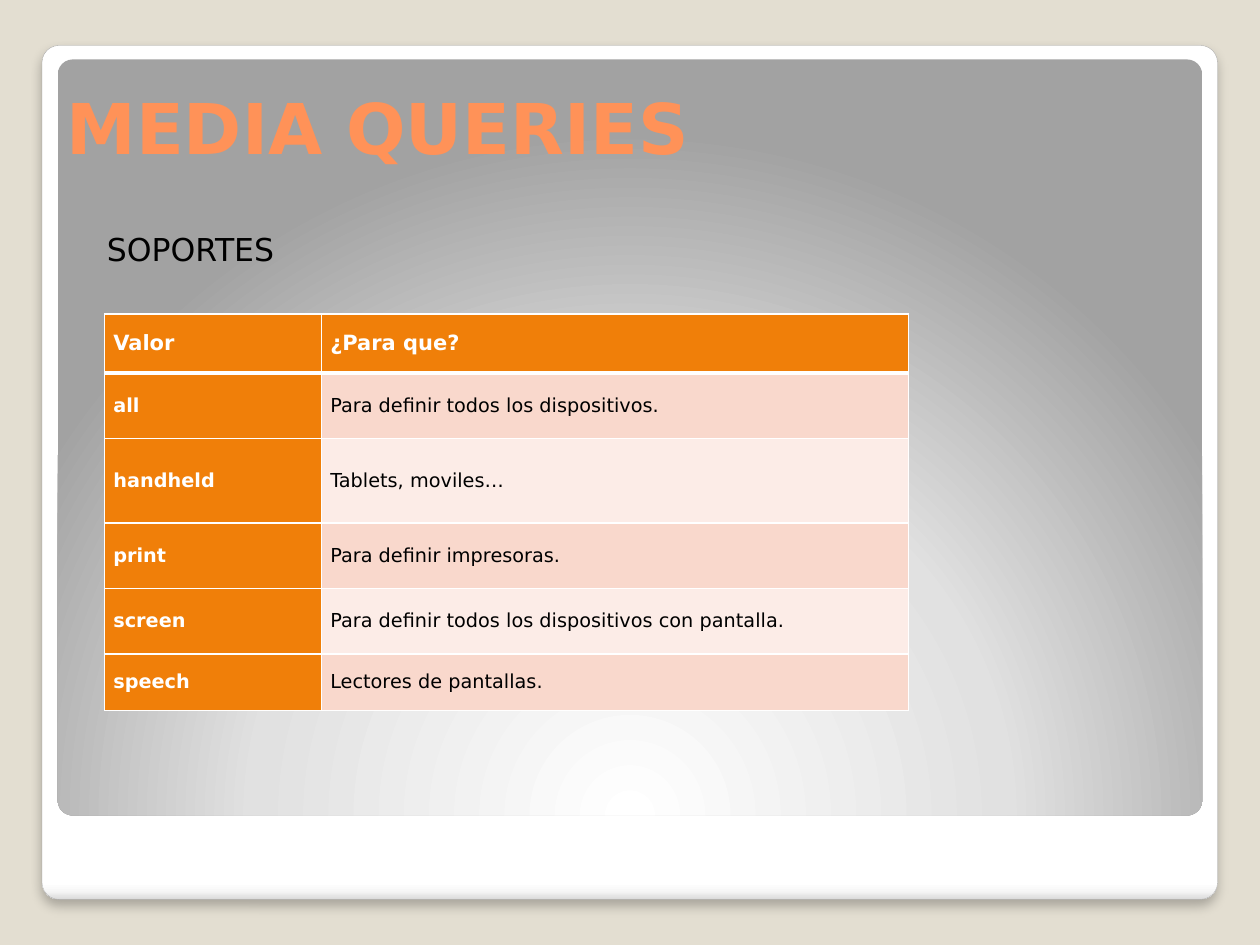
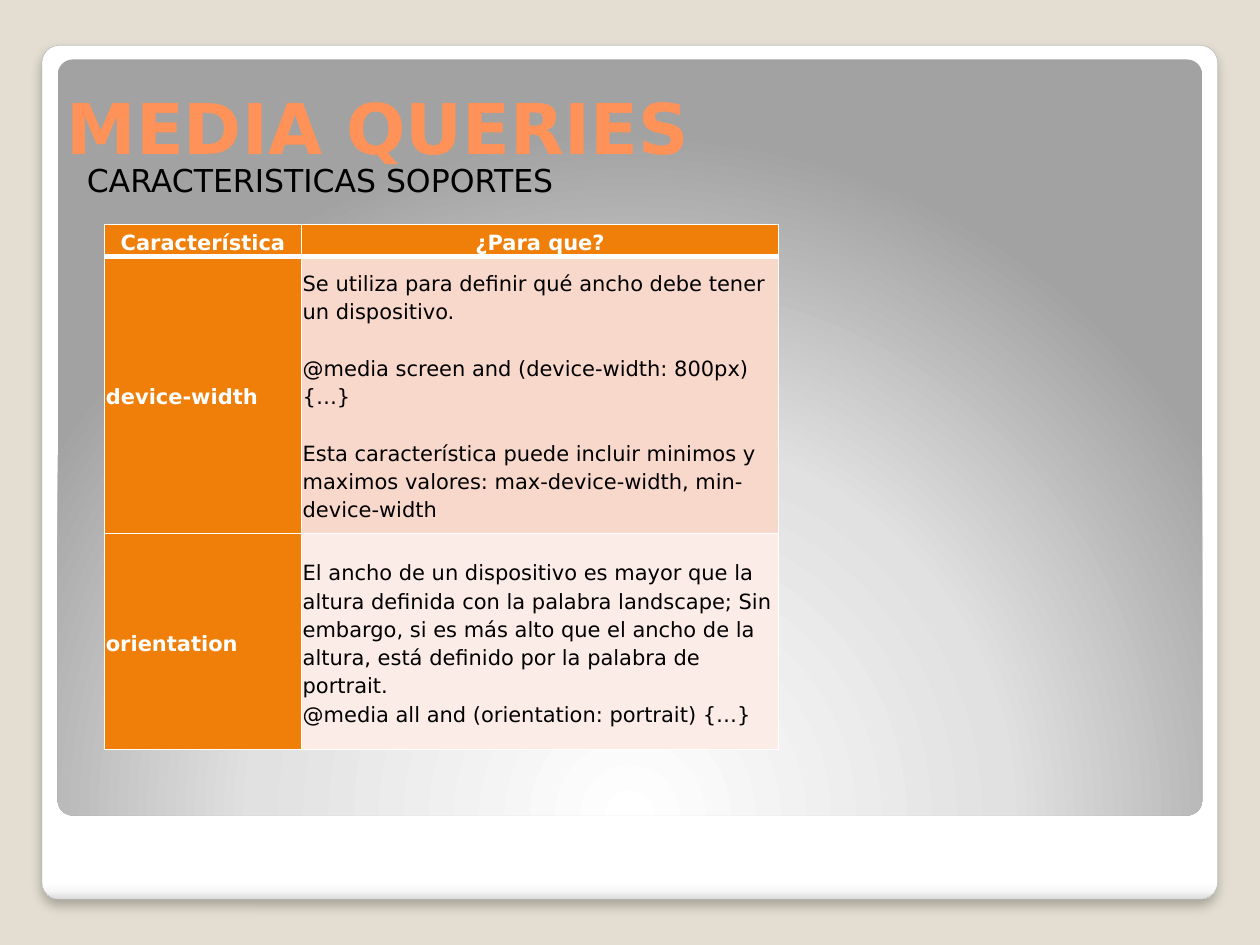
from lxml import etree
from pptx import Presentation
from pptx.dml.color import RGBColor
from pptx.enum.shapes import MSO_SHAPE
from pptx.enum.text import MSO_ANCHOR, PP_ALIGN
from pptx.oxml.ns import qn
from pptx.util import Pt

ROUNDED = MSO_SHAPE.ROUNDED_RECTANGLE
MIDDLE, TOP, BOTTOM = MSO_ANCHOR.MIDDLE, MSO_ANCHOR.TOP, MSO_ANCHOR.BOTTOM
LEFT, CENTER, JUSTIFY = PP_ALIGN.LEFT, PP_ALIGN.CENTER, PP_ALIGN.JUSTIFY

FONT = "DejaVu Sans"
SAND = RGBColor(0xE3, 0xDE, 0xD1)
WHITE = RGBColor(0xFF, 0xFF, 0xFF)
BLACK = RGBColor(0x00, 0x00, 0x00)
CORAL = RGBColor(0xFF, 0x92, 0x58)
ORANGE = RGBColor(0xF0, 0x7F, 0x09)
PINK = RGBColor(0xF9, 0xD8, 0xCC)
PALE_PINK = RGBColor(0xFC, 0xEC, 0xE7)
EDGE_GREY = RGBColor(0xA4, 0xA4, 0xA4)
OFF_WHITE = RGBColor(0xF7, 0xF7, 0xF7)
RIM_GREY = RGBColor(0xDA, 0xDA, 0xDA)
LIGHT_GREY = RGBColor(0xE1, 0xE1, 0xE1)
DARK_GREY = RGBColor(0xA2, 0xA2, 0xA2)

# Shared panels: left, top, width, height, gradient stops, gradient direction
CARD_STOPS = [(0, WHITE), (98, WHITE), (99, OFF_WHITE), (100, RIM_GREY)]
GLOW_STOPS = [(0, WHITE), (55, LIGHT_GREY), (100, DARK_GREY)]
DOWNWARD = '<a:lin ang="5400000" scaled="0"/>'
FROM_BELOW = ('<a:path path="circle"><a:fillToRect l="50000" t="175000" '
              'r="50000" b="-75000"/></a:path>')
PANELS = [
    (24, 26, 671.75, 488, CARD_STOPS, DOWNWARD),
    (33, 34, 654, 432, GLOW_STOPS, FROM_BELOW),
]
DRAWING = 'xmlns:a="http://schemas.openxmlformats.org/drawingml/2006/main"'
CARD_SHADOW = (f'<a:outerShdw {DRAWING} blurRad="{Pt(6)}" dist="{Pt(4)}" dir="5400000">'
               '<a:srgbClr val="000000"><a:alpha val="25000"/></a:srgbClr></a:outerShdw>')

# What differs from slide to slide
PAGES = [
    {
        "subtitle": "SOPORTES", "subtitle_at": (54, 128),
        "table_at": (59.75, 179.5),
        "columns": [124, 335.5], "rows": [33.75, 37.25, 48.5, 37.25, 37.5, 32.25],
        "margins": (5, 0, 5, 0), "header_align": JUSTIFY, "body_size": 11, "spacing": 1,
        "cells": [
            ("Valor", ["¿Para que?"]),
            ("all", ["Para definir todos los dispositivos."]),
            ("handheld", ["Tablets, moviles…"]),
            ("print", ["Para definir impresoras."]),
            ("screen", ["Para definir todos los dispositivos con pantalla."]),
            ("speech", ["Lectores de pantallas."]),
        ],
        "gap": 0,
    },
    {
        "subtitle": "CARACTERISTICAS SOPORTES", "subtitle_at": (42.5, 88.5),
        "table_at": (59.75, 128.25),
        "columns": [112.5, 272.75], "rows": [18.25, 158.5, 123.5],
        "margins": (0.75, 0.75, 0.75, 0), "header_align": CENTER, "body_size": 12,
        "spacing": 1.15,
        "cells": [
            ("Característica", ["¿Para que?"]),
            ("device-width", [
                "Se utiliza para definir qué ancho debe tener un dispositivo.",
                "@media screen and (device-width: 800px) {…}",
                "Esta característica puede incluir minimos y maximos valores: "
                "max-device-width, min-device-width",
            ]),
            ("orientation", [
                "El ancho de un dispositivo es mayor que la altura definida con la palabra "
                "landscape; Sin embargo, si es más alto que el ancho de la altura, está "
                "definido por la palabra de portrait.",
                "@media all and (orientation: portrait) {…}",
            ]),
        ],
        "gap": 16.2,
    },
]


def write(frame, texts, size, color, bold=False, align=LEFT, spacing=1, gap=0):
    """Fill a text frame with one paragraph per text, with a gap between them."""
    frame.word_wrap = True
    for index, text in enumerate(texts):
        para = frame.paragraphs[0] if index == 0 else frame.add_paragraph()
        para.alignment = align
        para.line_spacing = spacing
        if index < len(texts) - 1:
            para.space_after = Pt(gap)
        span = para.add_run()
        span.text = text
        span.font.name = FONT
        span.font.size = Pt(size)
        span.font.bold = bold
        span.font.color.rgb = color


def add_text_box(page, left, top, width, height, anchor, text, size, color, bold=False):
    box = page.shapes.add_textbox(Pt(left), Pt(top), Pt(width), Pt(height))
    box.text_frame.vertical_anchor = anchor
    write(box.text_frame, [text], size, color, bold)


deck = Presentation()
deck.slide_width, deck.slide_height = Pt(720), Pt(540)

for content in PAGES:
    page = deck.slides.add_slide(deck.slide_layouts[6])
    page.background.fill.solid()
    page.background.fill.fore_color.rgb = SAND

    # White card with the glowing grey panel on it
    for left, top, width, height, stops, direction in PANELS:
        panel = page.shapes.add_shape(ROUNDED, Pt(left), Pt(top), Pt(width), Pt(height))
        panel.adjustments[0] = 0.02
        panel.shadow.inherit = False
        stop_list = "".join(f'<a:gs pos="{place * 1000}"><a:srgbClr val="{color}"/></a:gs>'
                            for place, color in stops)
        panel.fill.gradient()
        properties = panel.element.spPr
        properties.replace(properties.find(qn("a:gradFill")), etree.fromstring(
            f'<a:gradFill {DRAWING} rotWithShape="1"><a:gsLst>{stop_list}</a:gsLst>'
            f'{direction}</a:gradFill>'))
        if stops is CARD_STOPS:
            panel.line.color.rgb = EDGE_GREY
            panel.line.width = Pt(0.16)
            properties.find(qn("a:effectLst")).append(etree.fromstring(CARD_SHADOW))
        else:
            panel.line.fill.background()

    # Title and subtitle
    add_text_box(page, 31, 3.5, 641, 96.5, BOTTOM, "MEDIA QUERIES", 40, CORAL, True)
    add_text_box(page, *content["subtitle_at"], 544, 225, TOP, content["subtitle"], 18, BLACK)

    # Table
    left, top = content["table_at"]
    columns, rows = content["columns"], content["rows"]
    table = page.shapes.add_table(len(rows), len(columns), Pt(left), Pt(top),
                                  Pt(sum(columns)), Pt(sum(rows))).table
    for column, width in zip(table.columns, columns):
        column.width = Pt(width)
    for row, height in zip(table.rows, rows):
        row.height = Pt(height)

    for row_index, (label, texts) in enumerate(content["cells"]):
        header = row_index == 0
        for column_index, cell_texts in enumerate([[label], texts]):
            cell = table.cell(row_index, column_index)
            strong = header or column_index == 0

            # White borders, thicker under the header row
            cell_properties = cell._tc.get_or_add_tcPr()
            for side in "LRTB":
                thick = (row_index, side) in [(0, "B"), (1, "T")]
                cell_properties.append(etree.fromstring(
                    f'<a:ln{side} {DRAWING} w="{Pt(3 if thick else 1)}"><a:solidFill>'
                    f'<a:srgbClr val="{WHITE}"/></a:solidFill></a:ln{side}>'))

            cell.fill.solid()
            cell.fill.fore_color.rgb = ORANGE if strong else (PALE_PINK, PINK)[row_index % 2]
            cell.vertical_anchor = MIDDLE
            (cell.margin_left, cell.margin_top,
             cell.margin_right, cell.margin_bottom) = map(Pt, content["margins"])
            write(cell.text_frame, cell_texts,
                  12 if header else content["body_size"],
                  WHITE if strong else BLACK, strong,
                  content["header_align"] if header else LEFT,
                  content["spacing"],
                  content["gap"] if len(cell_texts) > 2 else 0)

deck.save("out.pptx")
